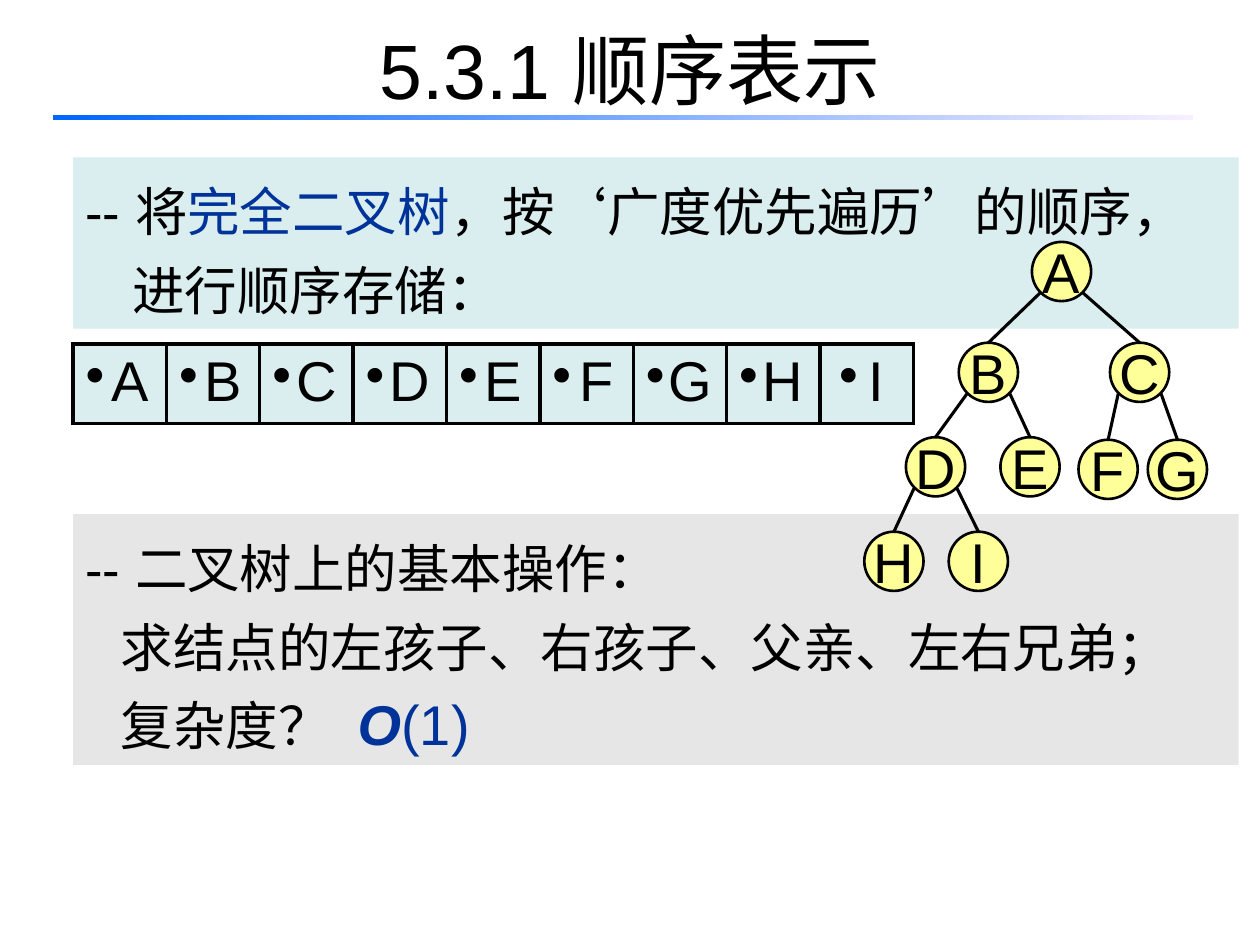
from lxml.etree import SubElement
from pptx import Presentation
from pptx.dml.color import RGBColor
from pptx.enum.shapes import MSO_CONNECTOR, MSO_SHAPE
from pptx.enum.text import MSO_ANCHOR, PP_ALIGN
from pptx.oxml.ns import qn
from pptx.util import Inches, Pt

BLACK = RGBColor(0x00, 0x00, 0x00)
NAVY = RGBColor(0x00, 0x33, 0x99)
AQUA = RGBColor(0xDA, 0xED, 0xEF)
GREY = RGBColor(0xE6, 0xE6, 0xE6)
YELLOW = RGBColor(0xFF, 0xFF, 0x99)
BLUE = RGBColor(0x00, 0x66, 0xFF)
PALE = RGBColor(0xF7, 0xEF, 0xFF)

LEFT = 0.58
SIZE = 0.47
REACH = 0.17
NODES = {
    "A": (8.19, 1.92), "B": (7.61, 2.72), "C": (8.81, 2.72),
    "D": (7.19, 3.47), "E": (7.94, 3.47), "F": (8.56, 3.49),
    "G": (9.11, 3.49), "H": (6.86, 4.22), "I": (7.53, 4.22),
}
TREE = {"A": "BC", "B": "DE", "C": "FG", "D": "HI"}


def inches(*vals):
    return [Inches(val) for val in vals]


def style(item, form):
    for key, val in form.items():
        setattr(item, key, val)


def write(para, text, size, color=BLACK, **form):
    run = para.add_run()
    run.text = text
    style(run.font, {"name": "Arial", "size": Pt(size), **form})
    run.font.color.rgb = color


def add_box(slide, kind, place, fill=None):
    box = slide.shapes.add_shape(kind, *inches(*place))
    box.shadow.inherit = False
    box.line.fill.background()
    if fill is not None:
        box.fill.solid()
        box.fill.fore_color.rgb = fill
    return box


def add_title(slide):
    title = slide.shapes.title
    place = inches(0.5, -0.08, 9, 1.25)
    style(title, dict(zip(("left", "top", "width", "height"), place)))
    title.text_frame.vertical_anchor = MSO_ANCHOR.MIDDLE
    para = title.text_frame.paragraphs[0]
    para.alignment = PP_ALIGN.CENTER
    write(para, "5.3.1 ", 44)
    write(para, "顺序表示", 44, name="Noto Sans CJK SC")


def add_rule(slide):
    rule = add_box(slide, MSO_SHAPE.RECTANGLE, (0.42, 0.91, 9.05, 0.04))
    rule.fill.gradient()
    rule.fill.gradient_angle = 0
    for stop, color, pos in zip(rule.fill.gradient_stops, (BLUE, PALE), (0, 1)):
        stop.color.rgb = color
        stop.position = pos


def add_panel(slide, top, height, fill, indent, lines):
    """Each line is a list of (text, colour); lines after the first are indented."""
    box = add_box(slide, MSO_SHAPE.RECTANGLE, (LEFT, top, 9.25, height), fill)
    frame = box.text_frame
    style(frame, {"word_wrap": True, "vertical_anchor": MSO_ANCHOR.TOP})
    for i, line in enumerate(lines):
        para = frame.add_paragraph() if i else frame.paragraphs[0]
        if i:
            para._p.get_or_add_pPr().set("marL", str(Inches(indent)))
        style(para, {"alignment": PP_ALIGN.LEFT, "line_spacing": 1.25})
        for text, color in line:
            write(para, text, 30, color)


def add_node(slide, name):
    node = add_box(slide, MSO_SHAPE.OVAL, (*NODES[name], SIZE, SIZE), YELLOW)
    node.line.color.rgb = BLACK
    node.line.width = Pt(1.5)
    frame = node.text_frame
    style(frame, {"word_wrap": False, "vertical_anchor": MSO_ANCHOR.MIDDLE})
    sides = ("left", "top", "right", "bottom")
    style(frame, {f"margin_{side}": 0 for side in sides})
    para = frame.paragraphs[0]
    para.alignment = PP_ALIGN.CENTER
    write(para, name, 32)


def add_edge(slide, name, child, side):
    """Join the lower side of a node (-1 left, 1 right) to its child's top."""
    x, y = (val + SIZE / 2 for val in NODES[name])
    left, top = NODES[child]
    ends = inches(x + side * REACH, y + REACH, left + SIZE / 2, top)
    edge = slide.shapes.add_connector(MSO_CONNECTOR.STRAIGHT, *ends)
    edge.line.color.rgb = BLACK
    edge.line.width = Pt(1.75)
    SubElement(edge._element.spPr, qn("a:effectLst"))


def add_border(cell):
    props = cell._tc.get_or_add_tcPr()
    for i, tag in enumerate(("a:lnL", "a:lnR", "a:lnT", "a:lnB")):
        line = props.makeelement(qn(tag), {"w": str(Pt(2.25))})
        fill = SubElement(line, qn("a:solidFill"))
        SubElement(fill, qn("a:srgbClr"), val=str(BLACK))
        props.insert(i, line)


def add_array(slide):
    place = inches(LEFT, 2.73, 6.67, 0.63)
    table = slide.shapes.add_table(1, len(NODES), *place).table
    for cell, name in zip(table.rows[0].cells, NODES):
        cell.fill.solid()
        cell.fill.fore_color.rgb = AQUA
        add_border(cell)
        para = cell.text_frame.paragraphs[0]
        SubElement(para._p.get_or_add_pPr(), qn("a:buChar"), char="•")
        para.alignment = PP_ALIGN.CENTER
        write(para, name, 32)


def add_cost(slide):
    box = slide.shapes.add_textbox(*inches(2.74, 5.29, 1.1, 0.77))
    box.text_frame.word_wrap = False
    para = box.text_frame.paragraphs[0]
    para.line_spacing = 1.25
    write(para, "O", 32, NAVY, bold=True, italic=True)
    write(para, "(1)", 32, NAVY)


def main():
    deck = Presentation()
    deck.slide_width, deck.slide_height = inches(10, 7.5)
    slide = deck.slides.add_slide(deck.slide_layouts[5])
    add_panel(slide, 1.25, 1.36, AQUA, 0.37, [
        [("-- 将", BLACK), ("完全二叉树", NAVY),
         ("，按‘广度优先遍历’的顺序，", BLACK)],
        [("进行顺序存储：", BLACK)],
    ])
    add_title(slide)
    add_rule(slide)
    add_panel(slide, 4.08, 1.99, GREY, 0.28, [
        [("-- 二叉树上的基本操作：", BLACK)],
        [("求结点的左孩子、右孩子、父亲、左右兄弟；", BLACK)],
        [("复杂度？", BLACK)],
    ])
    for name in NODES:
        add_node(slide, name)
    for name, kids in TREE.items():
        for child, side in zip(kids, (-1, 1)):
            add_edge(slide, name, child, side)
    add_array(slide)
    add_cost(slide)
    deck.save("out.pptx")


if __name__ == "__main__":
    main()
